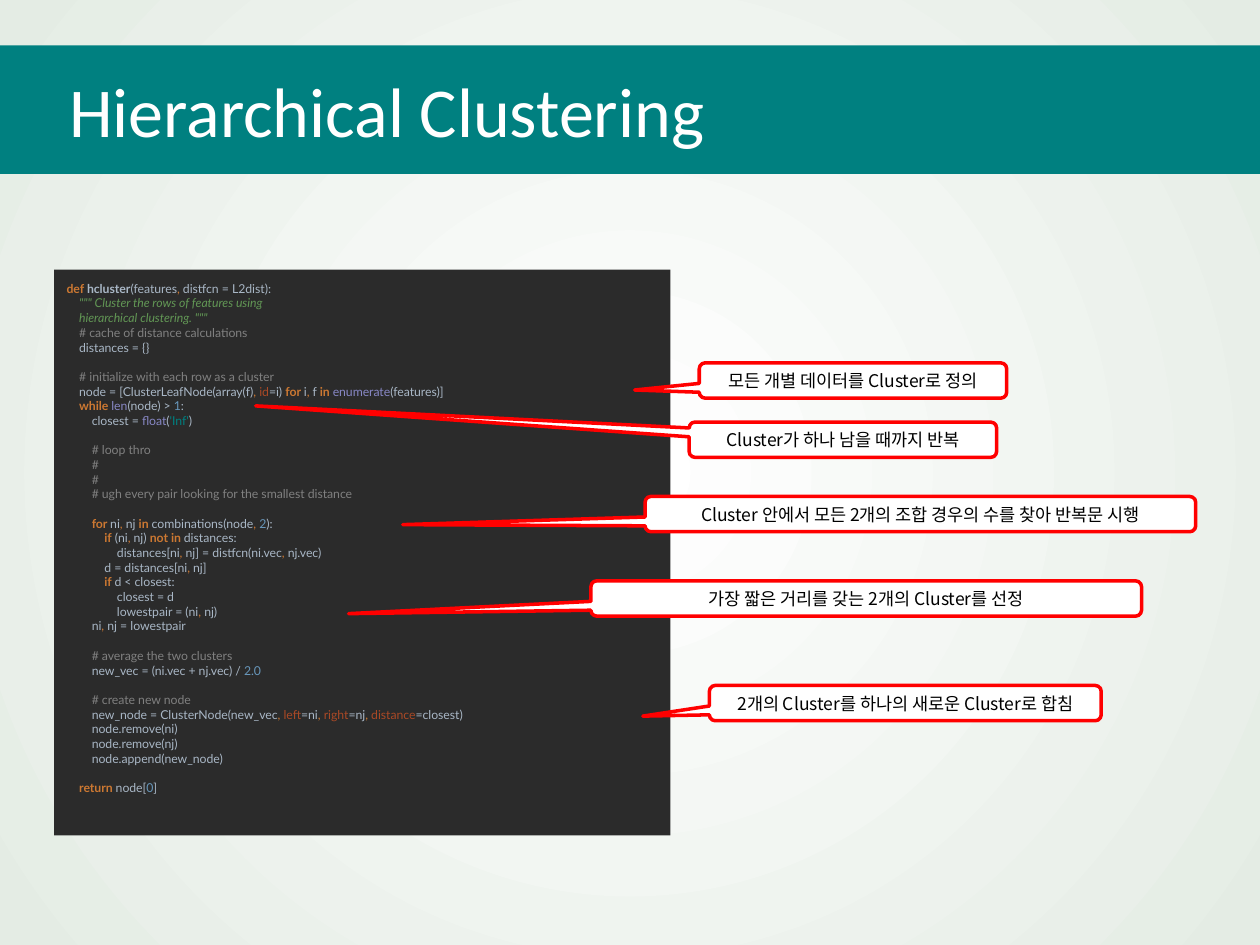
from itertools import groupby

from lxml import etree
from pptx import Presentation
from pptx.dml.color import RGBColor
from pptx.enum import shapes, text
from pptx.oxml.ns import qn
from pptx.util import Inches, Pt

SETUP = '''
def hcluster(features, distfcn = L2dist):
    """ Cluster the rows of features using
    hierarchical clustering. """
    # cache of distance calculations
    distances = {}

    # initialize with each row as a cluster
    node = [ClusterLeafNode(array(f), id=i) for i, f in enumerate(features)]
    while len(node) > 1:
        closest = float('Inf')
'''
SEARCH = '''
        # loop thro
        #
        #
        # ugh every pair looking for the smallest distance

        for ni, nj in combinations(node, 2):
            if (ni, nj) not in distances:
                distances[ni, nj] = distfcn(ni.vec, nj.vec)
            d = distances[ni, nj]
            if d < closest:
                closest = d
                lowestpair = (ni, nj)
        ni, nj = lowestpair
'''
MERGE = '''
        # average the two clusters
        new_vec = (ni.vec + nj.vec) / 2.0

        # create new node
        new_node = ClusterNode(new_vec, left=ni, right=nj, distance=closest)
        node.remove(ni)
        node.remove(nj)
        node.append(new_node)

    return node[0]
'''

STYLES = {
    "plain": dict(color="A9B7C6"),
    "name": dict(color="A9B7C6", bold=True),
    "keyword": dict(color="CC7832", bold=True),
    "comma": dict(color="CC7832"),
    "docstring": dict(color="629755", italic=True),
    "comment": dict(color="808080"),
    "builtin": dict(color="8888C6"),
    "argument": dict(color="AA4926"),
    "number": dict(color="6897BB"),
    "string": dict(color="008080"),
}
WORD_STYLES = {
    word: style
    for style, words in {
        "name": "hcluster",
        "keyword": "def for in while if not return",
        "builtin": "enumerate len float",
        "argument": "id left right distance",
        "comma": ",",
        "string": "'Inf'",
    }.items()
    for word in words.split()
}

# left, top, width, tail x, tail y, wording
CALLOUTS = [
    (5.55, 2.88, 2.44, -0.71, 0.27, "모든 개별 데이터를 Cluster로 정의"),
    (5.12, 3.94, 4.37, -0.94, 0.3, "Cluster 안에서 모든 2개의 조합 경우의 수를 찾아 반복문 시행"),
    (4.69, 4.61, 4.37, -0.94, 0.43, "가장 짧은 거리를 갖는 2개의 Cluster를 선정"),
    (5.63, 5.44, 3.11, -0.67, 0.37, "2개의 Cluster를 하나의 새로운 Cluster로 합침"),
    (5.47, 3.35, 2.44, -1.91, -0.96, "Cluster가 하나 남을 때까지 반복"),
]


def rgb(value):
    return RGBColor.from_string(value)


def fill_solid(shape, color):
    shape.fill.solid()
    shape.fill.fore_color.rgb = rgb(color)


def add_run(paragraph, wording, font, size, color, **formats):
    run = paragraph.add_run()
    run.text = wording
    run.font.color.rgb = rgb(color)
    for key, value in dict(name=font, size=Pt(size), **formats).items():
        setattr(run.font, key, value)
    return run


def paint_background(slide):
    fill = slide.background.fill
    fill.gradient()
    for position, color in enumerate(("FFFFFF", "E4ECE4")):
        stop = fill.gradient_stops[position]
        stop.color.rgb = rgb(color)
        stop.position = position
    gradient = slide.element.find(".//" + qn("a:gradFill"))
    gradient.remove(gradient.find(qn("a:lin")))
    circle = etree.SubElement(gradient, qn("a:path"), {"path": "circle"})
    center = dict.fromkeys("ltrb", "50000")
    etree.SubElement(circle, qn("a:fillToRect"), center)


def place_title(slide, left, top, width, height):
    title = slide.shapes.title
    title.left, title.top, title.width, title.height = left, top, width, height
    fill_solid(title, "008080")
    frame = title.text_frame
    frame.auto_size = text.MSO_AUTO_SIZE.NONE
    frame.vertical_anchor = text.MSO_ANCHOR.MIDDLE
    frame.margin_left = Inches(0.55)
    heading = frame.paragraphs[0]
    heading.alignment = text.PP_ALIGN.LEFT
    add_run(heading, "Hierarchical Clustering", "Calibri", 40, "FFFFFF")


def character_class(char):
    if char == ",":
        return "comma"
    return "word" if char.isalnum() or char in "_.'" else "other"


def highlight(line):
    """Yield (style, wording) for each stretch of one colour in a code line."""
    if line.startswith("#"):
        yield "comment", line
        return
    if '"""' in line:
        yield "docstring", line
        return
    tokens, style = [], "plain"
    for _, chars in groupby(line, character_class):
        token = "".join(chars)
        if token.replace(".", "").isdigit():
            style = "number"
        elif not token.isspace():
            style = WORD_STYLES.get(token, "plain")
        tokens.append((style, token))
    for style, group in groupby(tokens, lambda pair: pair[0]):
        yield style, "".join(token for _, token in group)


def add_code(slide, left, top, width, height):
    panel = slide.shapes.add_shape(shapes.MSO_SHAPE.RECTANGLE, left, top, width, height)
    panel.shadow.inherit = False
    fill_solid(panel, "2B2B2B")
    panel.line.fill.background()
    frame = panel.text_frame
    frame.word_wrap = True
    frame.vertical_anchor = text.MSO_ANCHOR.TOP
    frame.margin_top = Inches(0.09)
    paragraph, gap = frame.paragraphs[0], 0
    lines = (SETUP + SEARCH + MERGE).strip().splitlines()
    for number, line in enumerate(lines):
        if not line:
            gap = 8.4
            continue
        if number:
            paragraph = frame.add_paragraph()
        paragraph.alignment = text.PP_ALIGN.LEFT
        paragraph.space_before, gap = Pt(gap), 0
        code = line.lstrip()
        level = (len(line) - len(code)) // 4
        paragraph._p.get_or_add_pPr().set("marL", str(Inches(0.1 * level)))
        for style, wording in highlight(code):
            add_run(paragraph, wording, "Lato", 7, **STYLES[style])


def add_callout(slide, left, top, width, height, tail, wording):
    callout = slide.shapes.add_shape(
        shapes.MSO_SHAPE.ROUNDED_RECTANGULAR_CALLOUT, left, top, width, height)
    callout.shadow.inherit = False
    callout.adjustments[0], callout.adjustments[1] = tail
    fill_solid(callout, "FFFFFF")
    callout.line.color.rgb = rgb("FF0000")
    callout.line.width = Pt(2)
    frame = callout.text_frame
    frame.word_wrap = True
    frame.vertical_anchor = text.MSO_ANCHOR.MIDDLE
    note = frame.paragraphs[0]
    note.alignment = text.PP_ALIGN.CENTER
    font = "Noto Sans CJK KR"
    run = add_run(note, wording, font, 10, "000000")
    etree.SubElement(run.font._element, qn("a:ea"), {"typeface": font})


def main():
    deck = Presentation()
    deck.slide_width, deck.slide_height = Inches(10), Inches(7.5)
    slide = deck.slides.add_slide(deck.slide_layouts[5])
    paint_background(slide)
    place_title(slide, 0, Inches(0.36), deck.slide_width, Inches(1.02))
    add_code(slide, Inches(0.43), Inches(2.14), Inches(4.89), Inches(4.49))
    for left, top, width, tail_x, tail_y, wording in CALLOUTS:
        add_callout(slide, Inches(left), Inches(top), Inches(width), Inches(0.28),
                    (tail_x, tail_y), wording)
    deck.save("out.pptx")


if __name__ == "__main__":
    main()
